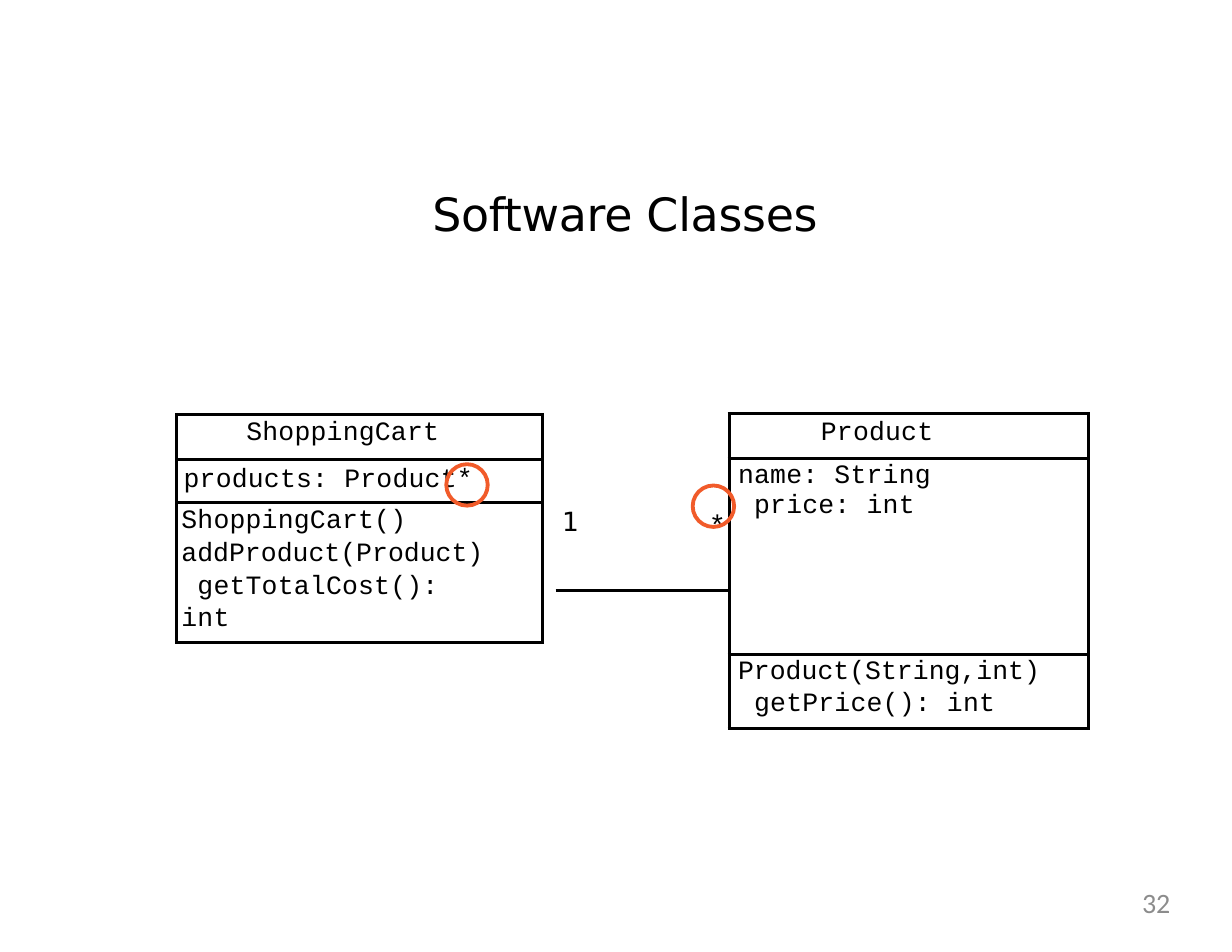
from dataclasses import dataclass

from pptx import Presentation
from pptx.dml.color import RGBColor
from pptx.enum.shapes import MSO_SHAPE
from pptx.enum.text import MSO_ANCHOR, PP_ALIGN
from pptx.oxml import parse_xml
from pptx.oxml.ns import nsdecls
from pptx.util import Inches, Pt

LEFT, RIGHT = PP_ALIGN.LEFT, PP_ALIGN.RIGHT
TOP = MSO_ANCHOR.TOP
OVAL = MSO_SHAPE.OVAL
TITLE_ONLY = 5


@dataclass(frozen=True)
class Theme:
    ink: str = "000000"
    accent: str = "F15B2A"
    muted: str = "8C8C8C"
    line: float = 2.25
    ring_line: float = 2.48


THEME = Theme()
TITLE_FONT = {"name": "DejaVu Sans", "size": Pt(29.5)}
CODE_FONT = {"name": "Courier New", "size": Pt(17)}
ONE_FONT = {"name": "DejaVu Sans", "size": Pt(17)}
MANY_FONT = {"name": "Courier New", "size": Pt(31.5)}
NUMBER_FONT = {"name": "Calibri", "size": Pt(18)}

# Character settings in hundredths of a point and thousandths of a percent
TITLE_SPACING = {"spc": "-20"}
LOOSE = {"spc": "10"}
TIGHT = {"spc": "0"}
LOWERED = {"baseline": "-8000"}

# Content: each compartment is first cell, last cell, insets, line spacing, lines
TITLE = "Software Classes"
SLIDE_NUMBER = "32"
TABLES = [
    {"at": (1.58, 3.7), "columns": [3.26], "rows": [0.4, 0.39, 1.25],
     "compartments": [
        ((0, 0), (0, 0), (0.62, 0.04), 1, [("ShoppingCart", LOOSE)]),
        ((1, 0), (1, 0), (0.06, 0.06), 1, [("products: Product*", LOOSE)]),
        ((2, 0), (2, 0), (0.04, 0.01), 1.09, [
            ("ShoppingCart()", LOOSE), ("addProduct(Product)", TIGHT),
            (" getTotalCost():", LOOSE), ("int", LOOSE)]),
    ]},
    {"at": (4.96, 3.69), "columns": [1.55, 3.21], "rows": [0.4, 1.13, 0.57, 0.66],
     "compartments": [
        ((0, 1), (0, 1), (0.82, 0.05), 1, [("Product", LOOSE)]),
        ((1, 1), (2, 1), (0.08, 0.03), 1, [
            ("name: String", LOOSE), (" price: int", LOOSE)]),
        ((3, 1), (3, 1), (0.08, 0.01), 1.06, [
            ("Product(String,int)", TIGHT), (" getPrice(): int", LOOSE)]),
    ]},
]
MULTIPLICITY = {"one": "1\t", "many": "*", "insets": (0.06, 0.69), "tab": 1.31}
RING_CENTRES = [(6.37, 4.52), (4.17, 4.33)]
RING_SIZE = 0.37


def inches(values):
    return [Inches(value) for value in values]


def write(paragraph, text, font, color=THEME.ink, settings=TIGHT):
    run = paragraph.add_run()
    run.text = text
    for name, value in font.items():
        setattr(run.font, name, value)
    run.font.color.rgb = RGBColor.from_string(color)
    for name, value in settings.items():
        run._r.get_or_add_rPr().set(name, value)


def clear_insets(frame):
    for side in ("left", "top", "right", "bottom"):
        setattr(frame, f"margin_{side}", 0)
    frame.word_wrap = True
    frame.vertical_anchor = TOP


def add_borders(cell, sides):
    properties = cell._tc.get_or_add_tcPr()
    for position, side in enumerate("LRTB"):
        paint = (f'<a:solidFill><a:srgbClr val="{THEME.ink}"/></a:solidFill>'
                 if side in sides else "<a:noFill/>")
        properties.insert(position, parse_xml(
            f'<a:ln{side} {nsdecls("a")} w="{Pt(THEME.line)}">{paint}</a:ln{side}>'))


def prepare_cell(table, first, last, insets, sides="LRTB"):
    cell = table.cell(*first)
    if first != last:
        cell.merge(table.cell(*last))
    for row in range(first[0], last[0] + 1):
        part = table.cell(row, first[1])
        part.fill.background()
        shared = set(sides)
        if row > first[0]:
            shared.discard("T")
        if row < last[0]:
            shared.discard("B")
        add_borders(part, shared)
    cell.margin_left, cell.margin_top = inches(insets)
    cell.margin_right = cell.margin_bottom = 0
    return cell.text_frame.paragraphs[0]


def add_class(slide, at, columns, rows, compartments):
    table = slide.shapes.add_table(
        len(rows), len(columns), *inches((*at, sum(columns), sum(rows)))).table
    table.first_row = table.horz_banding = False
    for column, width in zip(table.columns, columns):
        column.width = Inches(width)
    for row, height in zip(table.rows, rows):
        row.height = Inches(height)
    for first, last, insets, line_spacing, lines in compartments:
        paragraph = prepare_cell(table, first, last, insets)
        paragraph.line_spacing = line_spacing
        for number, (line, settings) in enumerate(lines):
            if number:
                paragraph.add_line_break()
            write(paragraph, line, CODE_FONT, settings=settings)
    return table


def add_association(table):
    paragraph = prepare_cell(table, (0, 0), (1, 0), MULTIPLICITY["insets"], "RB")
    paragraph._p.get_or_add_pPr().append(parse_xml(
        f'<a:tabLst {nsdecls("a")}>'
        f'<a:tab pos="{Inches(MULTIPLICITY["tab"])}" algn="l"/></a:tabLst>'))
    write(paragraph, MULTIPLICITY["one"], ONE_FONT)
    write(paragraph, MULTIPLICITY["many"], MANY_FONT, settings=LOWERED)
    prepare_cell(table, (2, 0), (3, 0), (0, 0), "TR")


def main():
    presentation = Presentation()
    presentation.slide_width, presentation.slide_height = inches((11, 8.5))
    slide = presentation.slides.add_slide(presentation.slide_layouts[TITLE_ONLY])

    # Title
    title = slide.shapes.title
    title.left, title.top, title.width, title.height = inches((3.86, 1.66, 3.5, 0.52))
    clear_insets(title.text_frame)
    paragraph = title.text_frame.paragraphs[0]
    paragraph.alignment = LEFT
    write(paragraph, TITLE, TITLE_FONT, settings=TITLE_SPACING)

    # Class boxes, the second with the association in its first column
    tables = [add_class(slide, **content) for content in TABLES]
    add_association(tables[-1])

    # Rings around the "many" marks
    for x, y in RING_CENTRES:
        ring = slide.shapes.add_shape(OVAL, *inches((
            x - RING_SIZE / 2, y - RING_SIZE / 2, RING_SIZE, RING_SIZE)))
        ring.shadow.inherit = False
        ring.fill.background()
        ring.line.width = Pt(THEME.ring_line)
        ring.line.color.rgb = RGBColor.from_string(THEME.accent)

    # Slide number
    frame = slide.shapes.add_textbox(*inches((7.92, 7.91, 2.53, 0.42))).text_frame
    clear_insets(frame)
    frame.paragraphs[0].alignment = RIGHT
    write(frame.paragraphs[0], SLIDE_NUMBER, NUMBER_FONT, THEME.muted)

    presentation.save("out.pptx")


if __name__ == "__main__":
    main()
